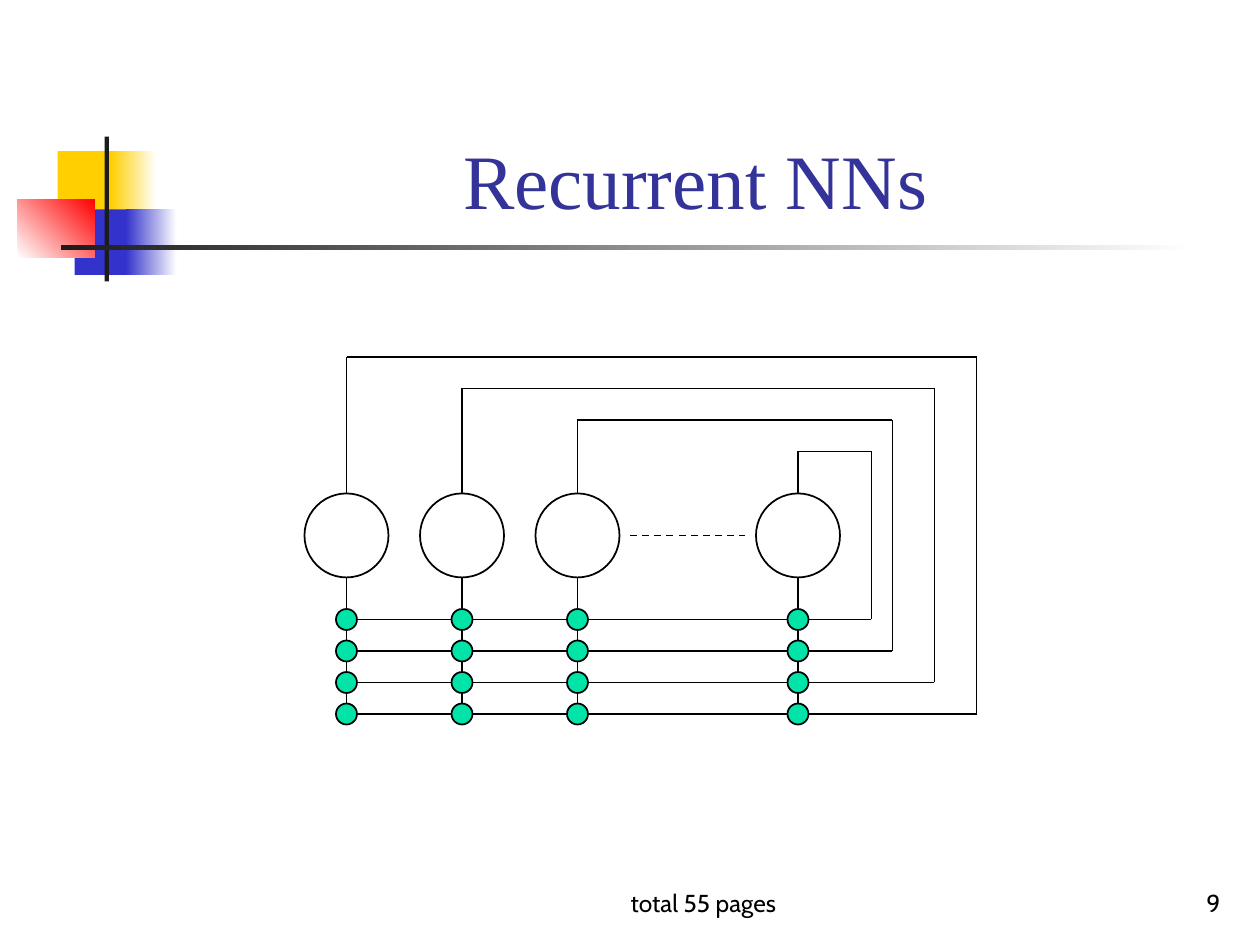
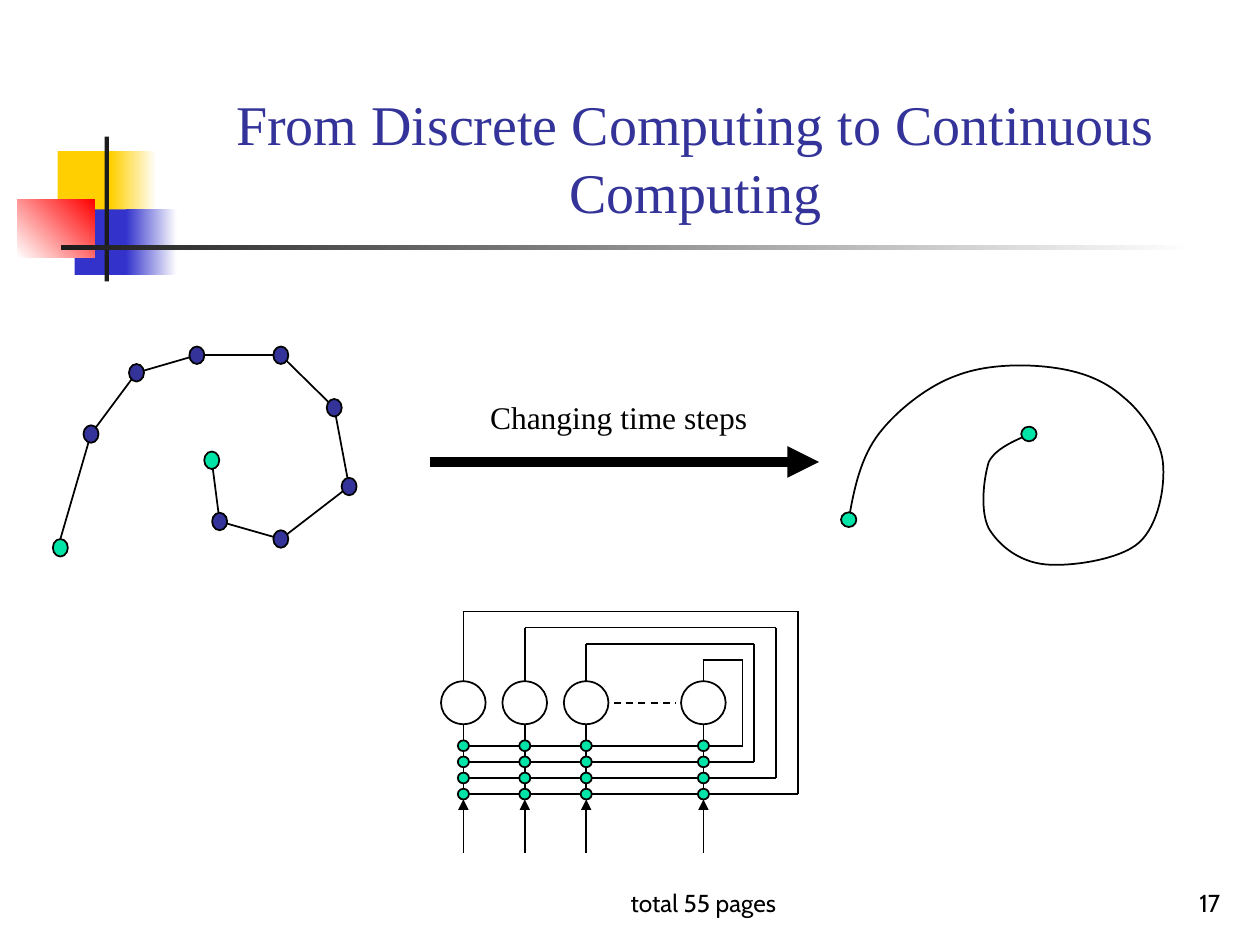
from itertools import pairwise

from lxml import etree
from pptx import Presentation
from pptx.dml.color import RGBColor
from pptx.enum.dml import MSO_LINE
from pptx.enum.shapes import MSO_CONNECTOR, MSO_SHAPE
from pptx.enum.text import MSO_ANCHOR, PP_ALIGN
from pptx.oxml.ns import qn
from pptx.util import Pt

RECT, OVAL = MSO_SHAPE.RECTANGLE, MSO_SHAPE.OVAL
STRAIGHT, DASH = MSO_CONNECTOR.STRAIGHT, MSO_LINE.DASH
CENTER, RIGHT = PP_ALIGN.CENTER, PP_ALIGN.RIGHT
TOP, BOTTOM = MSO_ANCHOR.TOP, MSO_ANCHOR.BOTTOM

COLORS = {
    "white": "FFFFFF", "black": "000000", "title": "333399", "green": "00E4A8",
    "yellow": "FFCF01", "blue": "3333CC", "red": "FF0000", "bar": "1C1C1C",
}
SERIF, SANS = "Times New Roman", "Cabin"

# Title ornament: box, colours (two make a gradient), gradient angle
ORNAMENT = [
    ((33, 86.4, 34.6, 37.4), ["yellow"], 0),
    ((63.4, 86.4, 26, 37.4), ["yellow", "white"], 0),
    ((42.6, 119.7, 33, 37.4), ["blue"], 0),
    ((72, 119.7, 29, 37.4), ["blue", "white"], 0),
    ((10, 113.8, 44.2, 33.4), ["white", "red"], 45),
    ((59.8, 78, 2.4, 82.8), ["bar"], 0),
    ((34.8, 140.2, 648, 2.4), ["bar", "white"], 0),
]

# Recurrent network on a grid: neuron columns, right ends of the feedback loops
COLUMNS = [0, 11, 22, 43]
LOOP_ENDS = [60, 56, 52, 50]
LOOP_STEP, BASE, NEURON_Y = 3, 34, 17

# Discrete trajectory, and start and Bezier points of the continuous one
STEPS = [(34.5, 308), (52, 248), (78, 213), (112.5, 203), (160.5, 203),
         (191, 233), (199.5, 278), (160.5, 308), (125.5, 298), (121, 263)]
CURVE = [
    (485, 297),
    (488, 279), (492, 261), (502.5, 247.5),
    (513, 234), (531, 220), (547, 214.5),
    (564, 208), (586, 208), (601, 210),
    (617, 212), (631, 217), (642, 227),
    (652, 235), (663, 250.5), (664.5, 264),
    (666, 278), (662, 300), (651, 310),
    (640, 320), (611, 324), (597, 322.5),
    (582.5, 321), (571, 312), (565, 302),
    (560, 292), (562, 274), (565, 264),
    (569.5, 255), (584, 250.5), (588, 248),
]


def rgb(name):
    return RGBColor.from_string(COLORS[name])


def write(tf, text, size=18, font=SERIF, color="black", align=CENTER, anchor=TOP, wrap=True):
    tf.word_wrap = wrap
    tf.vertical_anchor = anchor
    p = tf.paragraphs[0]
    p.alignment = align
    r = p.add_run()
    r.text = text
    r.font.size, r.font.name = Pt(size), font
    r.font.color.rgb = rgb(color)


class Deck:
    def __init__(self):
        self.prs = Presentation()
        self.prs.slide_width, self.prs.slide_height = Pt(720), Pt(540)
        self.shapes = None

    def slide(self, title, size, number):
        self.s = self.prs.slides.add_slide(self.prs.slide_layouts[6])
        self.group()
        for box, colors, angle in ORNAMENT:
            self.shape(RECT, box, colors, angle=angle)
        self.shapes = self.s.shapes
        self.text((288, 491.8, 228, 36), "total 55 pages", size=14, font=SANS, anchor=BOTTOM)
        self.text((554.4, 491.8, 150, 36), str(number), size=14, font=SANS,
                  align=RIGHT, anchor=BOTTOM)
        self.text((90.7, 16.6, 613.4, 115.2), title, size=size, color="title", anchor=BOTTOM)

    def group(self):
        self.shapes = self.s.shapes.add_group_shape().shapes

    def text(self, box, text, **fmt):
        tb = self.shapes.add_textbox(*map(Pt, box))
        write(tb.text_frame, text, **fmt)

    def shape(self, kind, box, colors, line=None, angle=0):
        sp = self.shapes.add_shape(kind, *map(Pt, box))
        sp.shadow.inherit = False
        if len(colors) == 1:
            sp.fill.solid()
            sp.fill.fore_color.rgb = rgb(colors[0])
        else:
            sp.fill.gradient()
            sp.fill.gradient_angle = angle
            for stop, color in zip(sp.fill.gradient_stops, colors):
                stop.color.rgb = rgb(color)
        if line:
            sp.line.color.rgb, sp.line.width = rgb(line), Pt(1)
        else:
            sp.line.fill.background()

    def dot(self, x, y, w, h, color):
        self.shape(OVAL, (x - w / 2, y - h / 2, w, h), [color], line="black")

    def line(self, start, end, width=1, dash=None, arrow=False):
        c = self.shapes.add_connector(STRAIGHT, *map(Pt, (*start, *end)))
        c.line.color.rgb, c.line.width = rgb("black"), Pt(width)
        if dash:
            c.line.dash_style = dash
        if arrow:
            etree.SubElement(c.line._get_or_add_ln(), qn("a:tailEnd"), type="triangle")
        etree.SubElement(c._element.spPr, qn("a:effectLst"))

    def curve(self, points):
        start, *rest = [(Pt(x), Pt(y)) for x, y in points]
        fb = self.shapes.build_freeform(*start)
        fb.add_line_segments(rest, close=False)
        sp = fb.convert_to_shape()
        sp.shadow.inherit = False
        sp.fill.background()
        sp.line.color.rgb, sp.line.width = rgb("black"), Pt(1)
        # Turn every three straight segments into one Bezier segment
        outline = sp._element.find(".//" + qn("a:path"))
        segments = outline.findall(qn("a:lnTo"))
        for i in range(0, len(segments), 3):
            bezier = etree.SubElement(outline, qn("a:cubicBezTo"))
            for segment in segments[i:i + 3]:
                bezier.append(segment[0])
                outline.remove(segment)

    def network(self, left, top, ux, uy, inputs=False):
        def at(x, y):
            return left + x * ux, top + y * uy

        self.group()
        self.line(at(27, NEURON_Y), at(38, NEURON_Y), dash=DASH)
        rows = [BASE - LOOP_STEP * i for i in range(len(COLUMNS))]
        # Feedback loops
        for i, (x, end, row) in enumerate(zip(COLUMNS, LOOP_ENDS, rows)):
            y = LOOP_STEP * i
            self.line(at(x, y), at(x, BASE))
            self.line(at(x, y), at(end, y))
            self.line(at(end, y), at(end, row))
            self.line(at(end, row), at(0, row))
        # Neurons, weights and inputs
        for x in COLUMNS:
            self.dot(*at(x, NEURON_Y), 8 * ux, 8 * uy, "white")
            for row in rows:
                self.dot(*at(x, row), 2 * ux, 2 * uy, "green")
            if inputs:
                self.line(at(x, 45), at(x, 35), arrow=True)


def main():
    d = Deck()

    # Slide: recurrent network
    d.slide("Recurrent NNs", 44, 9)
    d.network(198, 204, 6, 6)

    # Slide: discrete to continuous
    d.slide("From Discrete Computing to Continuous Computing", 32, 17)
    d.network(264.8, 349.4, 3.19, 3.07, inputs=True)

    # Discrete trajectory
    d.group()
    for start, end in pairwise(STEPS):
        d.line(start, end)
    first, *middle, last = STEPS
    d.dot(first[0], first[1] + 5, 8.6, 10, "green")
    for step in middle:
        d.dot(*step, 8.6, 10, "title")
    d.dot(*last, 8.6, 10, "green")

    # Continuous trajectory
    d.group()
    d.curve(CURVE)
    for end in (CURVE[0], CURVE[-1]):
        d.dot(*end, 8.8, 8.4, "green")

    # Transition
    d.group()
    d.line((246, 264), (468, 264), width=6, arrow=True)
    d.text((272.9, 223.9, 161.3, 28.8), "Changing time steps", wrap=False)

    d.prs.save("out.pptx")


if __name__ == "__main__":
    main()
